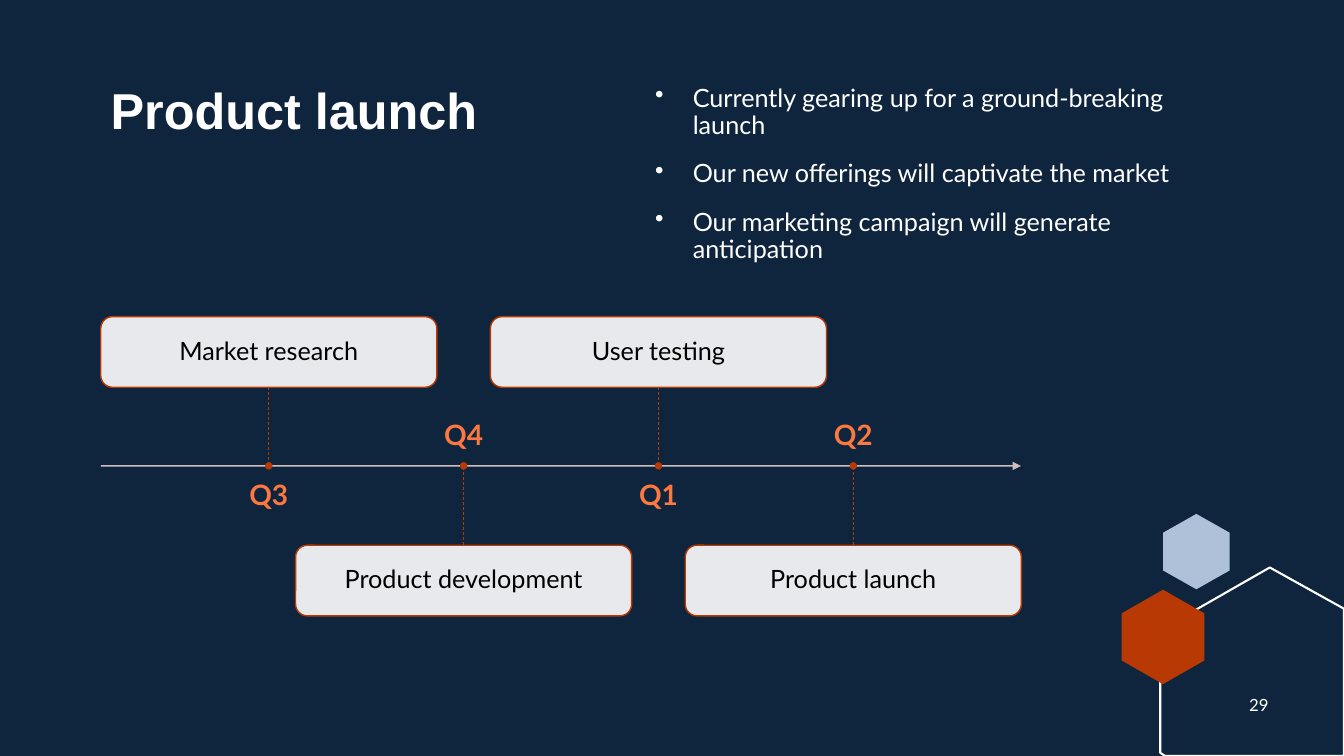
from dataclasses import dataclass

from pptx import Presentation
from pptx.dml.color import RGBColor as Rgb
from pptx.enum.dml import MSO_LINE_DASH_STYLE as Dash
from pptx.enum.shapes import MSO_CONNECTOR as Link, MSO_SHAPE as Kind
from pptx.enum.text import MSO_ANCHOR as Anchor, PP_ALIGN as Align
from pptx.oxml.ns import qn
from pptx.oxml.xmlchemy import OxmlElement as Node
from pptx.util import Cm, Pt


@dataclass(frozen=True)
class Theme:
    navy: str = "0F253E"
    white: str = "FFFFFF"
    black: str = "000000"
    rust: str = "B83903"
    coral: str = "FC7840"
    blush: str = "E6CECC"
    sky: str = "AEC1D8"
    head: str = "Arial"
    body: str = "Lato"
    title: int = 36
    large: int = 20
    text: int = 18
    small: int = 12


@dataclass(frozen=True)
class Box:
    left: float
    top: float
    width: float
    height: float

    def cm(self) -> tuple:
        return Cm(self.left), Cm(self.top), Cm(self.width), Cm(self.height)


@dataclass(frozen=True)
class Style:
    size: int
    color: str
    font: str = Theme.body
    bold: bool = False
    align: Align = Align.LEFT
    anchor: Anchor = Anchor.TOP
    inset: tuple = (0.25, 0.13)
    gap: int = 0
    bullet: bool = False


@dataclass(frozen=True)
class Stage:
    label: str
    task: str


THEME = Theme()
TITLE = Style(THEME.title, THEME.white, THEME.head, bold=True)
POINT = Style(THEME.text, THEME.white, gap=15, bullet=True)
CARD = Style(THEME.text, THEME.black, align=Align.CENTER,
             anchor=Anchor.MIDDLE, inset=(0.4, 0.4))
PAGE = Style(THEME.small, THEME.white, align=Align.CENTER, anchor=Anchor.MIDDLE)

POINTS = ["Currently gearing up for a ground-breaking launch",
          "Our new offerings will captivate the market",
          "Our marketing campaign will generate anticipation"]
STAGES = [Stage("Q3", "Market research"), Stage("Q4", "Product development"),
          Stage("Q1", "User testing"), Stage("Q2", "Product launch")]

START, END, AXIS = 2.54, 25.73, 11.74
WIDE, HIGH, STEP = 8.47, 1.78, 4.91
UPPER, LOWER = 7.98, 13.74
DOT = 0.15


def assign(thing, values: dict) -> None:
    for name, value in values.items():
        setattr(thing, name, value)


def fade(shape, share: int) -> None:
    """Make the colours set so far on the shape partly transparent."""
    for color in shape.element.spPr.iter(qn("a:srgbClr")):
        alpha = Node("a:alpha")
        alpha.set("val", str(share * 1000))
        color.append(alpha)


def mark(para) -> None:
    """Give the paragraph a hanging bullet."""
    props = para._p.get_or_add_pPr()
    props.set("marL", str(Cm(0.95)))
    props.set("indent", str(-Cm(0.95)))
    bullet = Node("a:buChar")
    bullet.set("char", "•")
    props.append(bullet)


def write(shape, lines: list[str], style: Style) -> None:
    frame = shape.text_frame
    side, edge = map(Cm, style.inset)
    assign(frame, dict(word_wrap=True, vertical_anchor=style.anchor,
                       margin_left=side, margin_right=side,
                       margin_top=edge, margin_bottom=edge))
    for i, line in enumerate(lines):
        para = frame.add_paragraph() if i else frame.paragraphs[0]
        assign(para, dict(text=line, alignment=style.align, line_spacing=0.9,
                          space_before=Pt(style.gap if i else 0)))
        if style.bullet:
            mark(para)
        font = para.runs[0].font
        assign(font, dict(size=Pt(style.size), name=style.font, bold=style.bold))
        font.color.rgb = Rgb.from_string(style.color)


def add_text(slide, box: Box, lines: list[str], style: Style) -> None:
    write(slide.shapes.add_textbox(*box.cm()), lines, style)


def stroke(line, color: str, width: float) -> None:
    line.color.rgb = Rgb.from_string(color)
    line.width = Pt(width)


def paint(shape, fill: str | None, edge: str | None = None,
          width: float = 1) -> None:
    shape.shadow.inherit = False
    if fill:
        shape.fill.solid()
        shape.fill.fore_color.rgb = Rgb.from_string(fill)
    else:
        shape.fill.background()
    if edge:
        stroke(shape.line, edge, width)
    else:
        shape.line.fill.background()


def add_line(slide, x1: float, y1: float, x2: float, y2: float,
             color: str, width: float):
    line = slide.shapes.add_connector(Link.STRAIGHT, Cm(x1), Cm(y1), Cm(x2), Cm(y2))
    stroke(line.line, color, width)
    line.element.spPr.append(Node("a:effectLst"))
    return line


def add_path(slide, points: list[tuple]):
    first, *rest = [(Cm(x), Cm(y)) for x, y in points]
    build = slide.shapes.build_freeform(*first)
    build.add_line_segments(rest)
    return build.convert_to_shape()


def add_hex(slide, box: Box, color: str) -> None:
    """Draw a hexagon that stands on a corner."""
    mid, right = box.left + box.width / 2, box.left + box.width
    base, cut = box.top + box.height, box.height / 4
    paint(add_path(slide, [(mid, box.top), (right, box.top + cut),
                           (right, base - cut), (mid, base),
                           (box.left, base - cut), (box.left, box.top + cut)]), color)


def add_decor(slide) -> None:
    add_hex(slide, Box(29.31, 12.95, 1.68, 1.9), THEME.sky)
    frame = add_path(slide, [(32, 14.3), (33.87, 15.34), (33.87, 19.05),
                             (29.36, 19.05), (29.24, 18.97), (29.24, 15.88)])
    paint(frame, None, THEME.white, 1.5)
    add_hex(slide, Box(28.27, 14.86, 2.08, 2.38), THEME.rust)


def add_axis(slide) -> None:
    axis = add_line(slide, START, AXIS, END, AXIS, THEME.blush, 1)
    fade(axis, 90)
    tip = Node("a:tailEnd")
    tip.set("type", "triangle")
    axis.line._get_or_add_ln().append(tip)


def add_stage(slide, i: int, stage: Stage) -> None:
    """Draw one card with its stem, dot and label, on alternate sides of the axis."""
    above = i % 2 == 0
    left = START + i * STEP
    mid, top = left + WIDE / 2, UPPER if above else LOWER
    card = slide.shapes.add_shape(Kind.ROUNDED_RECTANGLE,
                                  *Box(left, top, WIDE, HIGH).cm())
    paint(card, THEME.white)
    fade(card, 90)
    stroke(card.line, THEME.rust, 1)
    write(card, [stage.task], CARD)

    stem = add_line(slide, mid, top, mid, AXIS, THEME.rust, 0.5)
    stem.line.dash_style = Dash.DASH
    stem.begin_connect(card, 2 if above else 0)

    dot = slide.shapes.add_shape(
        Kind.OVAL, *Box(mid - DOT / 2, AXIS - DOT / 2, DOT, DOT).cm())
    paint(dot, THEME.rust, THEME.rust)

    label = Style(THEME.large, THEME.coral, bold=True, align=Align.CENTER,
                  anchor=Anchor.TOP if above else Anchor.BOTTOM, inset=(0, 0))
    add_text(slide, Box(mid - 3.72, 12.14 if above else 10.19, 7.44, 1.19),
             [stage.label], label)


def main() -> None:
    deck = Presentation()
    assign(deck, dict(slide_width=Cm(33.87), slide_height=Cm(19.05)))
    slide = deck.slides.add_slide(deck.slide_layouts[6])
    back = slide.background.fill
    back.solid()
    back.fore_color.rgb = Rgb.from_string(THEME.navy)

    add_decor(slide)
    add_text(slide, Box(2.54, 2.03, 12.95, 4.83), ["Product launch"], TITLE)
    add_text(slide, Box(16.26, 2.03, 15.24, 4.83), POINTS, POINT)
    add_axis(slide)
    for i, stage in enumerate(STAGES):
        add_stage(slide, i, stage)
    add_text(slide, Box(31.09, 17.27, 1.27, 1.02), ["29"], PAGE)
    deck.save("out.pptx")


if __name__ == "__main__":
    main()
